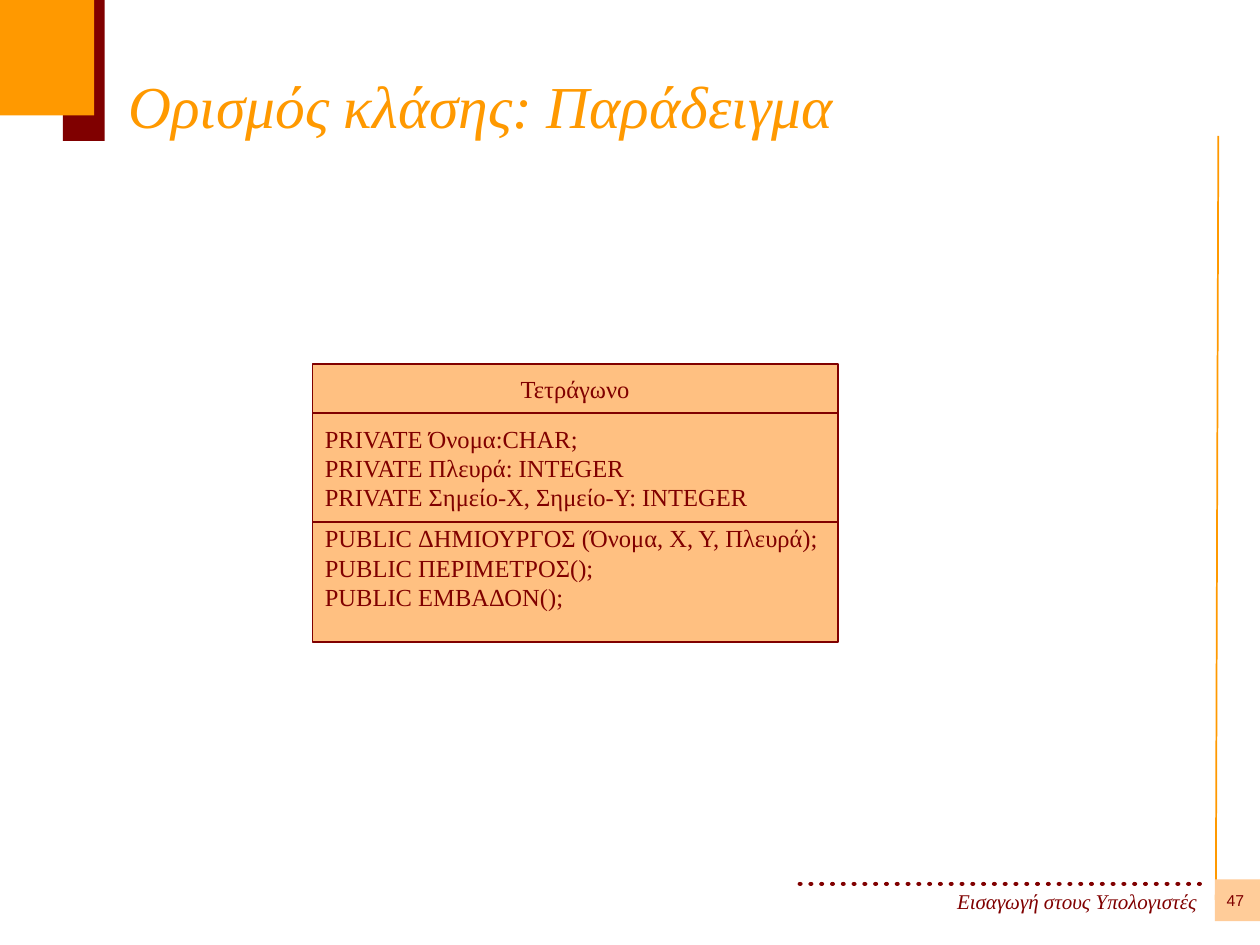
from lxml.etree import SubElement
from pptx import Presentation
from pptx.dml.color import RGBColor
from pptx.enum.shapes import MSO_CONNECTOR, MSO_SHAPE
from pptx.enum.text import MSO_ANCHOR as Anchor, PP_ALIGN as Align
from pptx.oxml.ns import qn
from pptx.util import Cm, Pt

TITLE = "Ορισμός κλάσης: Παράδειγμα"
FOOTER = "Εισαγωγή στους Υπολογιστές"
PAGE_NUMBER = "47"
CLASS_SECTIONS = [
    (0.99, Align.CENTER, Anchor.MIDDLE, ["Τετράγωνο"]),
    (2.2, Align.LEFT, Anchor.MIDDLE, [
        "PRIVATE Όνομα:CHAR;",
        "PRIVATE Πλευρά: INTEGER",
        "PRIVATE Σημείο-Χ, Σημείο-Υ: INTEGER",
    ]),
    (2.41, Align.LEFT, Anchor.TOP, [
        "PUBLIC ΔΗΜΙΟΥΡΓΟΣ (Όνομα, Χ, Υ, Πλευρά);",
        "PUBLIC ΠΕΡΙΜΕΤΡΟΣ();",
        "PUBLIC ΕΜΒΑΔΟΝ();",
    ]),
]
ORANGE, MAROON, PEACH, SAND = "FF9900", "800000", "FFC081", "FFCC99"
CLASS_LEFT, CLASS_TOP, CLASS_WIDTH = 6.3, 7.34, 10.59
DOT_COUNT, FIRST_DOT, LAST_DOT, DOT_TOP = 38, 16.08, 24.13, 17.78


def color(value):
    return RGBColor.from_string(value)


def write(shape, lines, size=14, font="Times New Roman", fill=MAROON, italic=False,
          align=Align.LEFT, anchor=Anchor.TOP, margins=(0.25, 0.13)):
    frame = shape.text_frame
    frame.word_wrap = True
    frame.vertical_anchor = anchor
    frame.margin_left = frame.margin_right = Cm(margins[0])
    frame.margin_top = frame.margin_bottom = Cm(margins[1])
    frame.text = "\n".join(lines)
    for paragraph in frame.paragraphs:
        paragraph.alignment = align
        paragraph.font.size = Pt(size)
        paragraph.font.name = font
        paragraph.font.italic = italic
        paragraph.font.bold = False
        paragraph.font.color.rgb = color(fill)


def add_block(shapes, box, fill, line=None, kind=MSO_SHAPE.RECTANGLE):
    shape = shapes.add_shape(kind, *map(Cm, box))
    shape.shadow.inherit = False
    shape.fill.solid()
    shape.fill.fore_color.rgb = color(fill)
    if line:
        shape.line.color.rgb = color(line)
        shape.line.width = Pt(1)
    else:
        shape.line.fill.background()
    return shape


def add_decoration(shapes):
    side_line = shapes.add_connector(
        MSO_CONNECTOR.STRAIGHT, *map(Cm, (24.51, 18.14, 24.56, 2.74)))
    side_line.line.color.rgb = color(ORANGE)
    side_line.line.width = Pt(1)
    SubElement(side_line._element.spPr, qn("a:effectLst"))
    add_block(shapes, (1.27, 0, 0.84, 2.84), MAROON)
    add_block(shapes, (0, 0, 1.9, 2.33), ORANGE)
    dots = shapes.add_group_shape().shapes
    pitch = (LAST_DOT - FIRST_DOT) / (DOT_COUNT - 1)
    for index in range(DOT_COUNT):
        add_block(dots, (FIRST_DOT + index * pitch, DOT_TOP, 0.1, 0.08), MAROON,
                  kind=MSO_SHAPE.OVAL)


def add_footer(shapes):
    footer = shapes.add_textbox(*map(Cm, (1.9, 17.78, 22.23, 0.76)))
    write(footer, [FOOTER], size=12, italic=True, align=Align.RIGHT, margins=(0, 0.13))
    add_block(shapes, (24.49, 17.73, 0.91, 0.84), SAND)
    number = shapes.add_textbox(*map(Cm, (24.51, 17.73, 0.79, 0.84)))
    write(number, [PAGE_NUMBER], size=9, font="Arial", align=Align.CENTER,
          anchor=Anchor.MIDDLE, margins=(0, 0))


def add_class_diagram(shapes):
    top = CLASS_TOP
    for height, align, anchor, lines in CLASS_SECTIONS:
        section = add_block(shapes, (CLASS_LEFT, top, CLASS_WIDTH, height), PEACH, MAROON)
        vertical = 0.02 if anchor == Anchor.TOP else 0.13
        write(section, lines, align=align, anchor=anchor, margins=(0.25, vertical))
        top += height


def main():
    presentation = Presentation()
    presentation.slide_width, presentation.slide_height = Cm(25.4), Cm(19.05)
    slide = presentation.slides.add_slide(presentation.slide_layouts[5])
    add_decoration(slide.shapes)
    add_footer(slide.shapes)
    title = slide.shapes.title
    title.left, title.top, title.width, title.height = map(Cm, (2.34, 1.27, 21.79, 1.7))
    write(title, [TITLE], size=34, fill=ORANGE, italic=True, anchor=Anchor.BOTTOM)
    add_class_diagram(slide.shapes)
    presentation.save("out.pptx")


if __name__ == "__main__":
    main()
